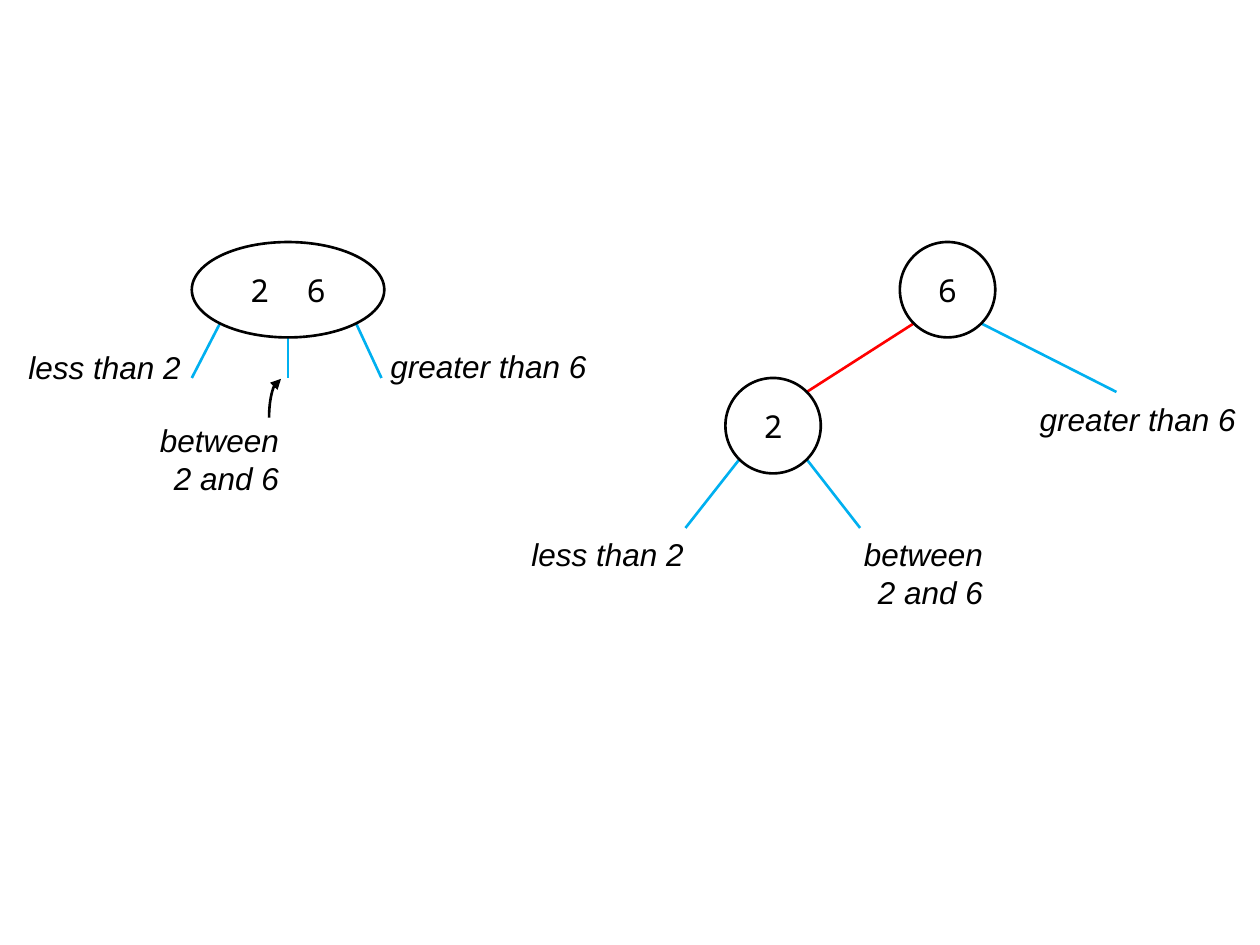
import math

from lxml import etree
from pptx import Presentation, util as u
from pptx.dml import color
from pptx.enum import shapes, text
from pptx.oxml import ns

Pt = u.Pt
BLACK, BLUE, RED = "000000", "00B0F0", "FF0000"
SOUTH_WEST, SOUTH, SOUTH_EAST, NORTH_EAST = 135, 90, 45, -45


def tint(code):
    return color.RGBColor.from_string(code)


def rim(oval, angle):
    turn = math.radians(angle)
    x, y, w, h = oval
    return x + w / 2 * (1 + math.cos(turn)), y + h / 2 * (1 + math.sin(turn))


class Sketch:
    """Draws tree nodes, links and labels in one style on one slide."""

    def __init__(self, slide):
        self.shapes = slide.shapes
        self.size = Pt(18)
        self.width = Pt(1.5)

    def stroke(self, line, code):
        line.color.rgb = tint(code)
        line.width = self.width

    def style(self, para, face, align, slant=False):
        para.alignment = align
        font = para.font
        font.name, font.size, font.italic = face, self.size, slant
        font.color.rgb = tint(BLACK)

    def form(self, kind, box):
        shape = self.shapes.add_shape(kind, *map(Pt, box))
        shape.shadow.inherit = False
        shape.fill.background()
        self.stroke(shape.line, BLACK)
        return shape

    def node(self, keys, box):
        frame = self.form(shapes.MSO_SHAPE.OVAL, box).text_frame
        frame.vertical_anchor = text.MSO_ANCHOR.MIDDLE
        para = frame.paragraphs[0]
        self.style(para, "Noto Sans Mono", text.PP_ALIGN.CENTER)
        for i, key in enumerate(keys):
            if i:
                gap = para.add_run()
                gap.text = " "
                gap._r.get_or_add_rPr().set("spc", "1080")
            para.add_run().text = key

    def link(self, start, end, code=BLUE):
        line = self.shapes.add_connector(
            shapes.MSO_CONNECTOR.STRAIGHT, *map(Pt, (*start, *end)))
        self.stroke(line.line, code)
        etree.SubElement(line._element.spPr, ns.qn("a:effectLst"))

    def label(self, words, box, align=text.PP_ALIGN.LEFT):
        frame = self.shapes.add_textbox(*map(Pt, box)).text_frame
        frame.word_wrap = False
        frame.auto_size = text.MSO_AUTO_SIZE.SHAPE_TO_FIT_TEXT
        frame.text = words
        self.style(frame.paragraphs[0], "Arial", align, True)

    def ranges(self, less, between, greater):
        self.label("less than 2", (*less, 102.2, 29))
        self.label("between\v2 and 6", (*between, 85, 51), text.PP_ALIGN.RIGHT)
        self.label("greater than 6", (*greater, 127.4, 29))

    def arrow(self, box):
        arc = self.form(shapes.MSO_SHAPE.ARC, box)
        arc.rotation = 270
        tip = etree.SubElement(arc.line._get_or_add_ln(), ns.qn("a:tailEnd"))
        tip.set("type", "triangle")


def main():
    deck = Presentation()
    deck.slide_width, deck.slide_height = Pt(720), Pt(540)
    sketch = Sketch(deck.slides.add_slide(deck.slide_layouts[6]))

    side = 54.5
    pair = (109.6, 138.3, 110, side)
    root = (514.2, 138.3, side, side)
    child = (414.5, 216, side, side)

    sketch.link(rim(pair, SOUTH_WEST), (109.6, 216))
    sketch.link(rim(pair, SOUTH), (164.6, 216))
    sketch.link(rim(pair, SOUTH_EAST), (218, 216))
    sketch.link(rim(root, SOUTH_WEST), rim(child, NORTH_EAST), RED)
    sketch.link(rim(root, SOUTH_EAST), (638, 224))
    sketch.link(rim(child, SOUTH_WEST), (391.7, 301.7))
    sketch.link(rim(child, SOUTH_EAST), (491.5, 301.7))

    sketch.node("26", pair)
    sketch.node("6", root)
    sketch.node("2", child)

    sketch.ranges((9.1, 195.1), (81.5, 237), (216, 194.6))
    sketch.ranges((296.6, 302), (483.8, 302), (587, 224.8))
    sketch.arrow((138.4, 231.8, 44.4, 13.7))
    deck.save("out.pptx")


if __name__ == "__main__":
    main()
